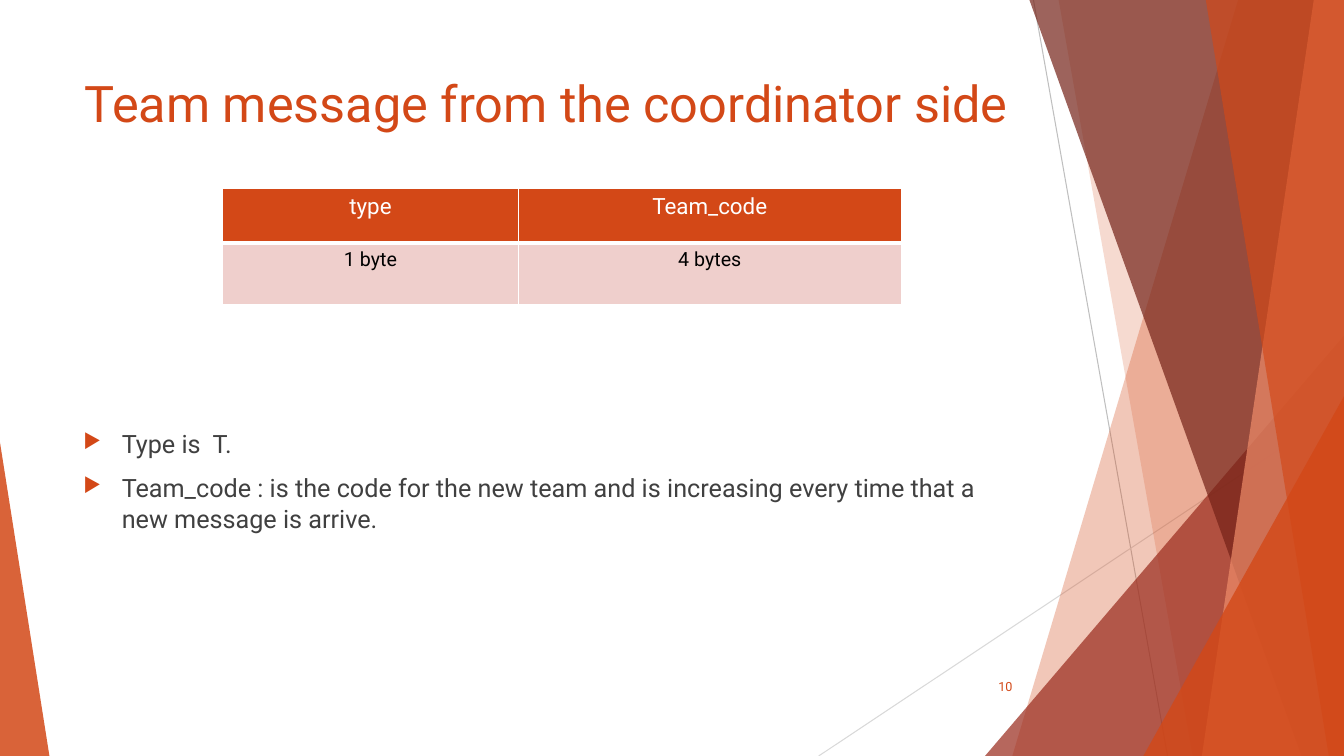
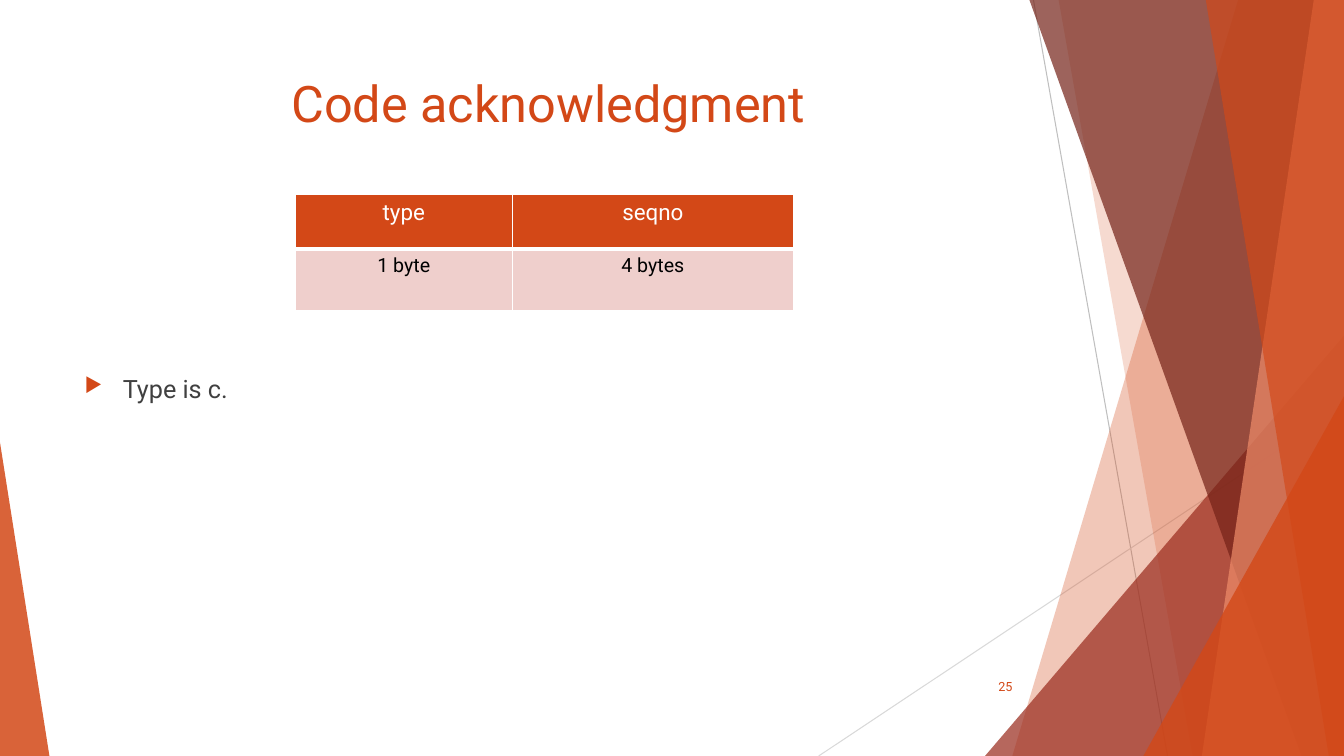
from dataclasses import dataclass
from typing import NamedTuple

from lxml.etree import SubElement
from pptx import Presentation
from pptx.dml.color import RGBColor
from pptx.enum.shapes import MSO_CONNECTOR, MSO_SHAPE
from pptx.enum.text import MSO_ANCHOR, PP_ALIGN
from pptx.oxml.ns import qn
from pptx.util import Inches, Pt

WIDTH, HEIGHT = 13.33, 7.5
ORANGE, RUST, MAROON, CORAL = "D34817", "9B2D1F", "742217", "EF8C6A"
WHITE, BLACK, PINK, GREY = "FFFFFF", "000000", "EFCFCC", "404040"
BULLET_INDENT = 0.38

TITLE = {"name": "Roboto", "size": Pt(36), "color": ORANGE}
BODY = {"name": "Roboto", "size": Pt(18), "color": GREY}
NUMBER = {"name": "Roboto", "size": Pt(9), "color": ORANGE}
HEADER_CELL = {"name": "Roboto", "size": Pt(16), "color": WHITE}
BODY_CELL = {"name": "Roboto", "size": Pt(14), "color": BLACK}


class Band(NamedTuple):
    """Slanted band that reaches the right edge; x of its left side at top and bottom."""
    top: float
    bottom: float
    color: str
    alpha: int


class Corner(NamedTuple):
    """Right triangle on the bottom edge; apex 0 is at its left, 1 at its right."""
    left: float
    top: float
    width: float
    apex: int
    color: str
    alpha: int


class Ray(NamedTuple):
    x1: float
    y1: float
    x2: float
    y2: float
    color: str


DECOR = (
    Ray(10.25, 0, 11.58, HEIGHT, "BFBFBF"),
    Ray(WIDTH, 4.03, 8.12, HEIGHT, "D9D9D9"),
    Band(12.28, 10.04, ORANGE, 30),
    Band(10.5, 11.83, ORANGE, 20),
    Corner(9.77, 3.33, 3.56, 1, RUST, 72),
    Band(10.21, 12.91, MAROON, 70),
    Band(13.03, 11.92, CORAL, 70),
    Band(11.96, 13.18, ORANGE, 65),
    Corner(11.34, 3.93, 1.99, 1, ORANGE, 80),
    Corner(0, 4.39, 0.49, 0, ORANGE, 85),
)


@dataclass
class MessageSlide:
    number: int
    title: str
    title_align: PP_ALIGN
    table_at: tuple[float, float]
    columns: tuple[float, ...]
    rows: tuple[tuple[str, ...], ...]
    body_at: tuple[float, float]
    bullets: tuple[str, ...]


SLIDES = (
    MessageSlide(
        10, "Team message from the coordinator side", PP_ALIGN.LEFT,
        (2.21, 1.87), (2.93, 3.8),
        (("type", "Team_code"), ("1 byte", "4 bytes")),
        (0.73, 4.2),
        ("Type is  T.",
         "Team_code : is the code for the new team and is increasing "
         "every time that a new message is arrive."),
    ),
    MessageSlide(
        25, "Code acknowledgment", PP_ALIGN.CENTER,
        (2.93, 1.93), (2.15, 2.79),
        (("type", "seqno"), ("1 byte", "4 bytes")),
        (0.74, 3.65),
        ("Type is c.",),
    ),
)


def rgb(color: str) -> RGBColor:
    return RGBColor.from_string(color)


def format_font(font, style: dict) -> None:
    for name, value in style.items():
        if name == "color":
            font.color.rgb = rgb(value)
        else:
            setattr(font, name, value)


def paint(sp, color: str, alpha: int) -> None:
    """Give a shape a see-through fill with no line or shadow."""
    sp.shadow.inherit = False
    sp.fill.solid()
    sp.fill.fore_color.rgb = rgb(color)
    clr = sp._element.spPr.find(qn("a:solidFill")).find(qn("a:srgbClr"))
    SubElement(clr, qn("a:alpha"), val=str(alpha * 1000))
    sp.line.fill.background()


def add_ray(s, ray: Ray) -> None:
    line = s.shapes.add_connector(
        MSO_CONNECTOR.STRAIGHT, Inches(ray.x1), Inches(ray.y1), Inches(ray.x2), Inches(ray.y2))
    line.line.color.rgb = rgb(ray.color)
    line.line.width = Pt(0.75)
    SubElement(line._element.spPr, qn("a:effectLst"))


def add_band(s, band: Band) -> None:
    builder = s.shapes.build_freeform(Inches(band.top), 0)
    corners = ((WIDTH, 0), (WIDTH, HEIGHT), (band.bottom, HEIGHT))
    builder.add_line_segments([(Inches(x), Inches(y)) for x, y in corners], close=True)
    paint(builder.convert_to_shape(), band.color, band.alpha)


def add_corner(s, corner: Corner) -> None:
    sp = s.shapes.add_shape(
        MSO_SHAPE.ISOSCELES_TRIANGLE, Inches(corner.left), Inches(corner.top),
        Inches(corner.width), Inches(HEIGHT - corner.top))
    sp.adjustments[0] = corner.apex
    paint(sp, corner.color, corner.alpha)


DRAW = {Ray: add_ray, Band: add_band, Corner: add_corner}


def add_bullet(p) -> None:
    pPr = p._p.get_or_add_pPr()
    pPr.set("marL", str(Inches(BULLET_INDENT)))
    pPr.set("indent", str(-Inches(BULLET_INDENT)))
    SubElement(SubElement(pPr, qn("a:buClr")), qn("a:srgbClr"), val=ORANGE)
    SubElement(pPr, qn("a:buSzPct"), val="80000")
    SubElement(pPr, qn("a:buChar"), char="▶")


def add_text(s, left: float, top: float, width: float, height: float,
             lines: tuple[str, ...], style: dict, align: PP_ALIGN = PP_ALIGN.LEFT,
             anchor: MSO_ANCHOR = MSO_ANCHOR.TOP, bulleted: bool = False) -> None:
    tf = s.shapes.add_textbox(Inches(left), Inches(top), Inches(width), Inches(height)).text_frame
    tf.word_wrap = True
    tf.vertical_anchor = anchor
    for i, line in enumerate(lines):
        p = tf.add_paragraph() if i else tf.paragraphs[0]
        p.alignment = align
        if i:
            p.space_before = Pt(10)
        if bulleted:
            add_bullet(p)
        r = p.add_run()
        r.text = line
        format_font(r.font, style)


def add_borders(cell, bottom: int) -> None:
    """Draw white cell borders, 1 pt except for the bottom one."""
    tcPr = cell._tc.get_or_add_tcPr()
    for side, points in (("L", 1), ("R", 1), ("T", 1), ("B", bottom)):
        ln = SubElement(tcPr, qn(f"a:ln{side}"), w=str(Pt(points)))
        SubElement(SubElement(ln, qn("a:solidFill")), qn("a:srgbClr"), val=WHITE)


def add_message_table(s, spec: MessageSlide) -> None:
    row_formats = ((0.54, HEADER_CELL, ORANGE, 3), (0.61, BODY_CELL, PINK, 1))
    left, top = spec.table_at
    table = s.shapes.add_table(
        len(spec.rows), len(spec.columns), Inches(left), Inches(top),
        Inches(sum(spec.columns)), Inches(sum(f[0] for f in row_formats))).table
    table.first_row = table.horz_banding = False
    for column, width in zip(table.columns, spec.columns):
        column.width = Inches(width)
    for row, texts, (height, style, fill, bottom) in zip(table.rows, spec.rows, row_formats):
        row.height = Inches(height)
        for cell, text in zip(row.cells, texts):
            add_borders(cell, bottom)
            cell.fill.solid()
            cell.fill.fore_color.rgb = rgb(fill)
            p = cell.text_frame.paragraphs[0]
            p.alignment = PP_ALIGN.CENTER
            r = p.add_run()
            r.text = text
            format_font(r.font, style)


def add_message_slide(prs, spec: MessageSlide) -> None:
    s = prs.slides.add_slide(prs.slide_layouts[6])
    for item in DECOR:
        DRAW[type(item)](s, item)
    add_text(s, 0.74, 0.67, 9.4, 1.44, (spec.title,), TITLE, spec.title_align)
    left, top = spec.body_at
    add_text(s, left, top, 9.4, 6.61 - top, spec.bullets, BODY, bulleted=True)
    add_text(s, 9.39, 6.61, 0.75, 0.4, (str(spec.number),), NUMBER,
             PP_ALIGN.RIGHT, MSO_ANCHOR.MIDDLE)
    add_message_table(s, spec)


def main() -> None:
    prs = Presentation()
    prs.slide_width, prs.slide_height = Inches(WIDTH), Inches(HEIGHT)
    for spec in SLIDES:
        add_message_slide(prs, spec)
    prs.save("out.pptx")


if __name__ == "__main__":
    main()
